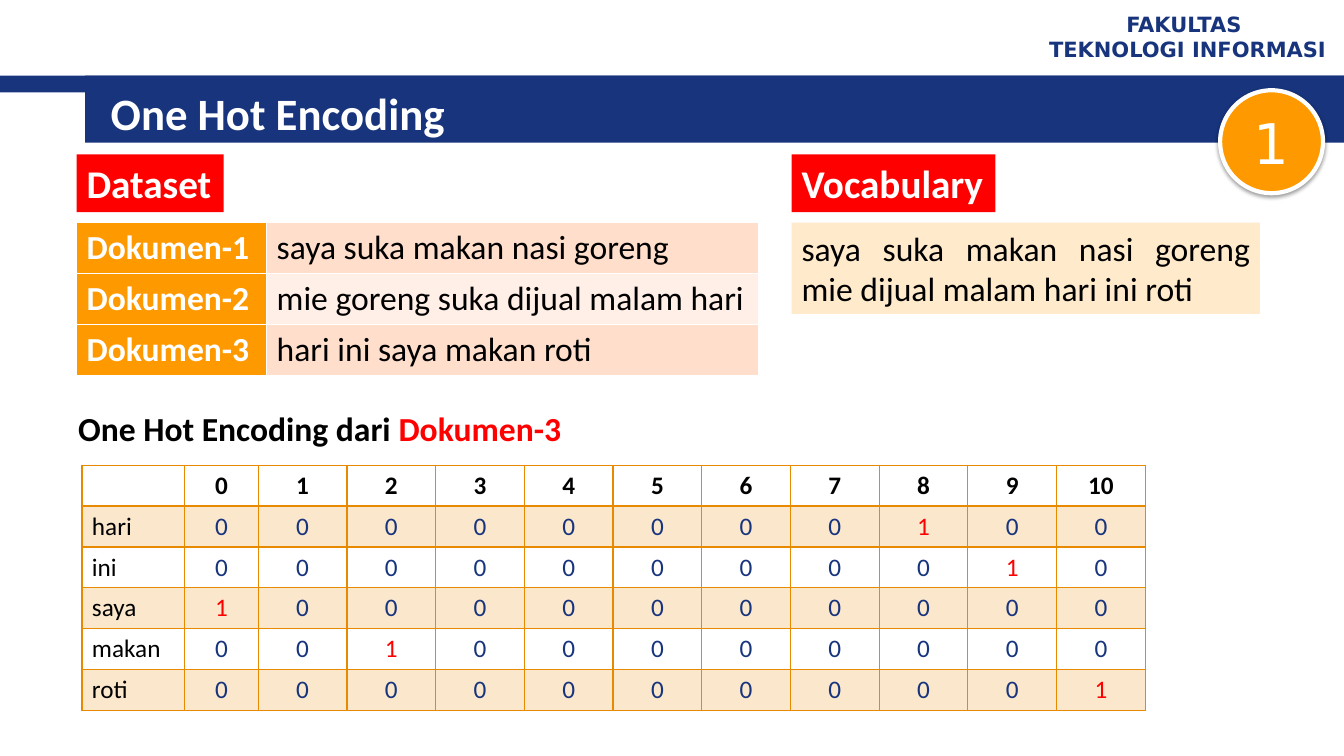
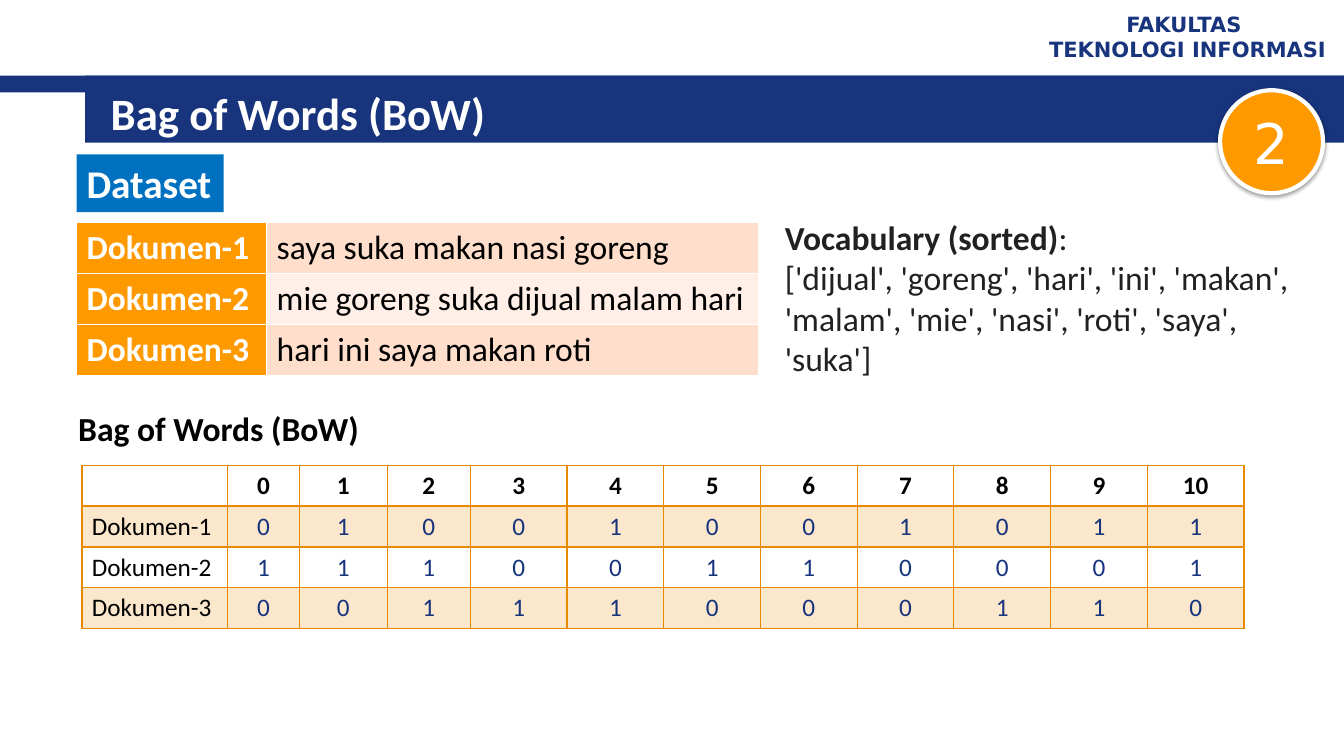
from lxml.etree import SubElement
from pptx import Presentation
from pptx.dml.color import RGBColor
from pptx.enum.shapes import MSO_SHAPE
from pptx.enum.text import MSO_ANCHOR, MSO_AUTO_SIZE, PP_ALIGN
from pptx.oxml.ns import qn
from pptx.util import Pt

EMU_PER_PX = 9525
BODY_FONT = "Calibri"
DISPLAY_FONT = "DejaVu Sans"
COLORS = {
    "navy": "17347D",
    "orange": "FF9900",
    "grid": "E78A00",
    "red": "FF0000",
    "blue": "0070C0",
    "peach": "FFDECC",
    "pale_peach": "FFEFE7",
    "cream": "FFEBCC",
    "white": "FFFFFF",
    "black": "000000",
    "charcoal": "212121",
}
DOCUMENTS = {
    "Dokumen-1": "saya suka makan nasi goreng",
    "Dokumen-2": "mie goreng suka dijual malam hari",
    "Dokumen-3": "hari ini saya makan roti",
}
VOCABULARY = "saya suka makan nasi goreng mie dijual malam hari ini roti".split()


def px(length):
    """Turn pixels into EMU."""
    return round(length * EMU_PER_PX)


def rgb(name):
    """Look up a named colour."""
    return RGBColor.from_string(COLORS[name])


def format_run(run, size, color, bold=False, font=BODY_FONT):
    """Set the character format of a run."""
    run.font.name = font
    run.font.size = Pt(size)
    run.font.bold = bold
    run.font.color.rgb = rgb(color)


def write(paragraph, text, size, color, bold=False, font=BODY_FONT, align=PP_ALIGN.LEFT):
    """Fill a paragraph with text of one format."""
    paragraph.text = text
    paragraph.alignment = align
    for run in paragraph.runs:
        format_run(run, size, color, bold, font)


def add_box(slide, box, fill=None, kind=MSO_SHAPE.RECTANGLE, anchor=MSO_ANCHOR.TOP, wrap=True):
    """Add a text box, or a borderless filled shape when a fill is named."""
    place = [px(length) for length in box]
    if fill:
        shape = slide.shapes.add_shape(kind, *place)
        shape.shadow.inherit = False
        shape.fill.solid()
        shape.fill.fore_color.rgb = rgb(fill)
        shape.line.fill.background()
    else:
        shape = slide.shapes.add_textbox(*place)
    text_frame = shape.text_frame
    text_frame.auto_size = MSO_AUTO_SIZE.NONE
    text_frame.word_wrap = wrap
    text_frame.vertical_anchor = anchor
    return shape


def add_frame(slide, title):
    """Add the bands, faculty name and title."""
    add_box(slide, (0, 72, 1280, 16), "navy")
    add_box(slide, (81, 72, 1199, 64), "navy")
    faculty = add_box(slide, (982, 5, 298, 60), anchor=MSO_ANCHOR.MIDDLE).text_frame
    faculty.text = "FAKULTAS \nTEKNOLOGI INFORMASI"
    for paragraph in faculty.paragraphs:
        write(paragraph, paragraph.text, 15, "navy", True, DISPLAY_FONT, PP_ALIGN.CENTER)
    title_box = add_box(slide, (96, 77, 1141, 60), anchor=MSO_ANCHOR.MIDDLE)
    write(title_box.text_frame.paragraphs[0], title, 32, "white", True)


def add_number_badge(slide, box, number):
    """Add the round, softly shadowed number badge."""
    badge = add_box(slide, box, "orange", MSO_SHAPE.OVAL, MSO_ANCHOR.MIDDLE)
    badge.line.color.rgb = rgb("white")
    badge.line.width = Pt(3)
    effects = badge.element.spPr.find(qn("a:effectLst"))
    shadow = SubElement(effects, qn("a:outerShdw"), blurRad=str(Pt(3.1)), dist=str(Pt(1.6)),
                        dir="5400000", rotWithShape="0")
    color = SubElement(shadow, qn("a:srgbClr"), val=COLORS["black"])
    SubElement(color, qn("a:alpha"), val="38000")
    write(badge.text_frame.paragraphs[0], str(number), 40, "white",
          font=DISPLAY_FONT, align=PP_ALIGN.CENTER)


def add_tag(slide, box, text, fill):
    """Add a coloured section label."""
    tag = add_box(slide, box, fill, wrap=False)
    write(tag.text_frame.paragraphs[0], text, 28, "white", True)


def add_heading(slide, box, text, highlight=None):
    """Add the heading above a matrix, with an optional red ending."""
    paragraph = add_box(slide, box, wrap=False).text_frame.paragraphs[0]
    write(paragraph, text, 24, "black", True)
    if highlight:
        run = paragraph.add_run()
        run.text = highlight
        format_run(run, 24, "red", True)


def add_plain_table(slide, left, top, widths, row_height, row_count):
    """Add a table without a banded style."""
    graphic_frame = slide.shapes.add_table(
        row_count, len(widths), px(left), px(top), px(sum(widths)), px(row_height * row_count))
    table = graphic_frame.table
    table.first_row = table.horz_banding = False
    for column, width in zip(table.columns, widths):
        column.width = px(width)
    return table


def style_cell(cell, border, fill=None, alpha=None, bottom=1):
    """Set the borders and the fill of a table cell."""
    properties = cell._tc.get_or_add_tcPr()
    for side, width in (("L", 1), ("R", 1), ("T", 1), ("B", bottom)):
        line = SubElement(properties, qn(f"a:ln{side}"), w=str(Pt(width)))
        solid = SubElement(line, qn("a:solidFill"))
        SubElement(solid, qn("a:srgbClr"), val=COLORS[border])
    if not fill:
        cell.fill.background()
        return
    cell.fill.solid()
    cell.fill.fore_color.rgb = rgb(fill)
    if alpha:
        color = properties.find(qn("a:solidFill")).find(qn("a:srgbClr"))
        SubElement(color, qn("a:alpha"), val=str(alpha * 1000))


def add_dataset(slide, left, top, tag_fill):
    """Add the dataset label and the table of documents below it."""
    add_tag(slide, (left, top, 140, 55), "Dataset", tag_fill)
    table = add_plain_table(slide, left, top + 65, [181, 469], 48, len(DOCUMENTS))
    for row, (name, sentence) in enumerate(DOCUMENTS.items()):
        name_cell, sentence_cell = table.cell(row, 0), table.cell(row, 1)
        style_cell(name_cell, "white", "orange")
        style_cell(sentence_cell, "white", "pale_peach" if row % 2 else "peach")
        write(name_cell.text_frame.paragraphs[0], name, 24, "white", True)
        write(sentence_cell.text_frame.paragraphs[0], sentence, 24, "black")


def add_matrix(slide, left, top, width, first_widths, rows, mark_ones=False):
    """Add a matrix of word counts, sharing the remaining width equally."""
    column_count = len(VOCABULARY) + 1
    equal_count = column_count - len(first_widths)
    equal_width = (width - sum(first_widths)) / equal_count
    widths = first_widths + [equal_width] * equal_count
    table = add_plain_table(slide, left, top, widths, 39, len(rows) + 1)
    lines = [("", range(len(VOCABULARY)))] + rows
    for row, (label, values) in enumerate(lines):
        for column, value in enumerate([label, *values]):
            cell = table.cell(row, column)
            style_cell(cell, "grid", "grid" if row % 2 else None, 20, 1 if row else 2)
            if row == 0 or column == 0:
                color = "black"
            else:
                color = "red" if mark_ones and value == 1 else "navy"
            write(cell.text_frame.paragraphs[0], str(value), 18, color, row == 0,
                  align=PP_ALIGN.CENTER if column else PP_ALIGN.LEFT)


def add_vocabulary(slide, left, top):
    """Add the vocabulary label and its word list."""
    add_tag(slide, (left, top, 194, 55), "Vocabulary", "red")
    words = add_box(slide, (left, top + 65, 446, 87), "cream")
    write(words.text_frame.paragraphs[0], " ".join(VOCABULARY), 24, "black",
          align=PP_ALIGN.JUSTIFY)


def add_sorted_vocabulary(slide, box):
    """Add the sorted vocabulary as a list literal."""
    text_frame = add_box(slide, box).text_frame
    heading = text_frame.paragraphs[0]
    write(heading, "Vocabulary (sorted)", 24, "charcoal", True)
    colon = heading.add_run()
    colon.text = ":"
    format_run(colon, 24, "charcoal")
    write(text_frame.add_paragraph(), str(sorted(VOCABULARY)), 24, "charcoal")


def add_method_slide(presentation, number, title, tag_fill):
    """Add a slide with the parts that both methods share."""
    slide = presentation.slides.add_slide(presentation.slide_layouts[6])
    add_frame(slide, title)
    add_dataset(slide, 73, 147, tag_fill)
    add_number_badge(slide, (1162, 86, 98, 98), number)
    return slide


def add_one_hot_slide(presentation):
    """Build the one hot encoding slide."""
    slide = add_method_slide(presentation, 1, "One Hot Encoding", "red")
    add_vocabulary(slide, 754, 147)
    add_heading(slide, (65, 384, 484, 48), "One Hot Encoding dari ", "Dokumen-3")
    rows = [(word, [int(word == entry) for entry in VOCABULARY])
            for word in DOCUMENTS["Dokumen-3"].split()]
    add_matrix(slide, 78, 443, 1013, [98, 70], rows, mark_ones=True)


def add_bag_of_words_slide(presentation):
    """Build the bag of words slide."""
    slide = add_method_slide(presentation, 2, "Bag of Words (BoW)", "blue")
    add_sorted_vocabulary(slide, (738, 202, 507, 165))
    add_heading(slide, (65, 384, 294, 48), "Bag of Words (BoW)")
    rows = [(name, [sentence.split().count(entry) for entry in sorted(VOCABULARY)])
            for name, sentence in DOCUMENTS.items()]
    add_matrix(slide, 78, 443, 1107, [139, 68, 84, 79], rows)


def main():
    """Build and save the presentation."""
    presentation = Presentation()
    presentation.slide_width = px(1280)
    presentation.slide_height = px(720)
    add_one_hot_slide(presentation)
    add_bag_of_words_slide(presentation)
    presentation.save("out.pptx")


if __name__ == "__main__":
    main()
